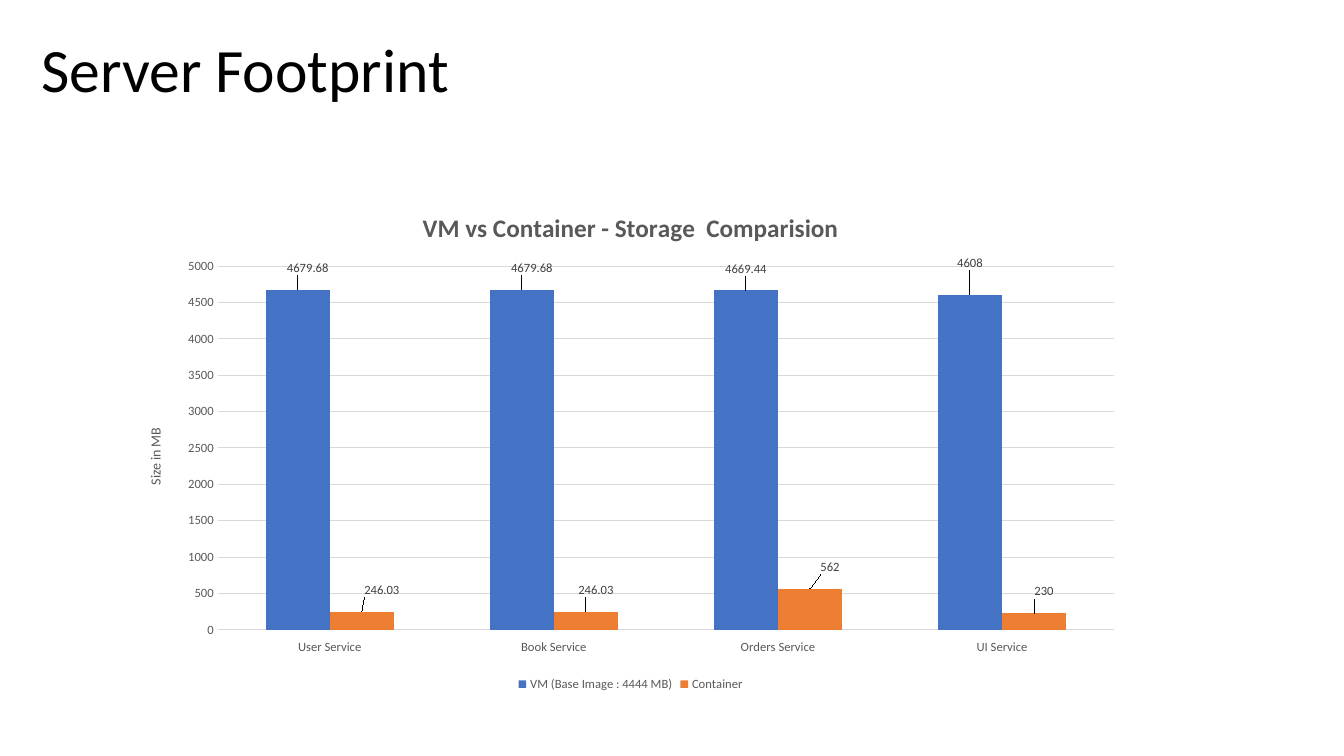
from lxml import etree
from pptx import Presentation
from pptx.chart.data import CategoryChartData
from pptx.dml.color import RGBColor
from pptx.enum.chart import (XL_CHART_TYPE as ChartType, XL_LABEL_POSITION as LabelPosition,
                             XL_LEGEND_POSITION as LegendPosition, XL_TICK_MARK as TickMark)
from pptx.enum.text import MSO_ANCHOR as Anchor, PP_ALIGN as Align
from pptx.oxml.ns import qn
from pptx.util import Inches, Pt

GREY, DARK_GREY, GRID_GREY = "595959", "404040", "D9D9D9"
SERVICES = ["User Service", "Book Service", "Orders Service", "UI Service"]
# name, colour, sizes in MB, label shifts as shares of the chart's size
SERIES = [
    ("VM (Base Image : 4444 MB)", "4472C4", [4679.68, 4679.68, 4669.44, 4608],
     [(0.01, -0.02), (0.01, -0.02), (0, -0.02), (0, -0.04)]),
    ("Container", "ED7D31", [246.03, 246.03, 562, 230],
     [(0.02, -0.02), (0.01, -0.02), (0.02, -0.02), (0.01, -0.02)]),
]


def style(font, size, color, bold=False):
    font.name, font.size, font.bold = "Calibri", Pt(size), bold
    font.color.rgb = RGBColor.from_string(color)


def manual_layout(**settings):
    """Return a c:layout element holding the given manual settings."""
    layout = etree.Element(qn("c:layout"))
    manual = etree.SubElement(layout, qn("c:manualLayout"))
    for name, value in settings.items():
        etree.SubElement(manual, qn(f"c:{name}")).set("val", str(value))
    return layout


deck = Presentation()
deck.slide_width, deck.slide_height = Inches(13.33), Inches(7.5)
page = deck.slides.add_slide(deck.slide_layouts[5])

# Slide title
title = page.shapes.title
title.left, title.top = Inches(0.31), Inches(-0.01)
title.width, title.height = Inches(11.5), Inches(1.45)
title.text_frame.vertical_anchor = Anchor.MIDDLE
para = title.text_frame.paragraphs[0]
para.alignment, para.line_spacing = Align.LEFT, 0.9
span = para.add_run()
span.text = "Server Footprint"
style(span.font, 44, "000000")

# Chart
data = CategoryChartData()
data.categories = SERVICES
for name, color, sizes, shifts in SERIES:
    data.add_series(name, sizes)
chart = page.shapes.add_chart(ChartType.COLUMN_CLUSTERED, Inches(1.26), Inches(1.89),
                              Inches(9.99), Inches(5.01), data).chart
style(chart.font, 10, "000000")

# Headings of the chart and of its value axis
sizes_axis, services_axis = chart.value_axis, chart.category_axis
for owner, text, size, bold in [
        (chart.chart_title, "VM vs Container - Storage  Comparision", 18, True),
        (sizes_axis.axis_title, "Size in MB", 10, False)]:
    span = owner.text_frame.paragraphs[0].add_run()
    span.text = text
    style(span.font, size, GREY, bold)
chart.chart_title.include_in_layout = False

# Axes
for axis in (sizes_axis, services_axis):
    style(axis.tick_labels.font, 9, GREY)
    axis.format.line.fill.background()
sizes_axis.minimum_scale, sizes_axis.maximum_scale, sizes_axis.major_unit = 0, 5000, 500
sizes_axis.major_tick_mark = TickMark.NONE
services_axis.major_tick_mark = TickMark.OUTSIDE
grid_line = sizes_axis.major_gridlines.format.line
grid_line.width = Pt(0.75)
grid_line.color.rgb = RGBColor.from_string(GRID_GREY)

# Legend
chart.has_legend = True
chart.legend.position = LegendPosition.BOTTOM
chart.legend.include_in_layout = False
style(chart.legend.font, 9, GREY)

# Columns and their labels
plot = chart.plots[0]
plot.gap_width, plot.overlap, plot.vary_by_categories = 150, 0, False
for series, (name, color, sizes, shifts) in zip(plot.series, SERIES):
    series.format.fill.solid()
    series.format.fill.fore_color.rgb = RGBColor.from_string(color)
    series.data_labels.show_value = True
    style(series.data_labels.font, 9, DARK_GREY)
    for index, (right, down) in enumerate(shifts):
        label = series.points[index].data_label
        label.position = LabelPosition.OUTSIDE_END
        style(label.font, 9, DARK_GREY)
    for label_index, (right, down) in zip(series._element.iterfind(f".//{qn('c:dLbl')}/{qn('c:idx')}"), shifts):
        label_index.addnext(manual_layout(x=right, y=down))

# Plot area
plot_area = plot._element.getparent()
for automatic in plot_area.findall(qn("c:layout")):
    plot_area.remove(automatic)
plot_area.insert(0, manual_layout(layoutTarget="inner", xMode="edge", yMode="edge",
                                  x=0.09, y=0.15, w=0.89, h=0.72))

deck.save("out.pptx")
